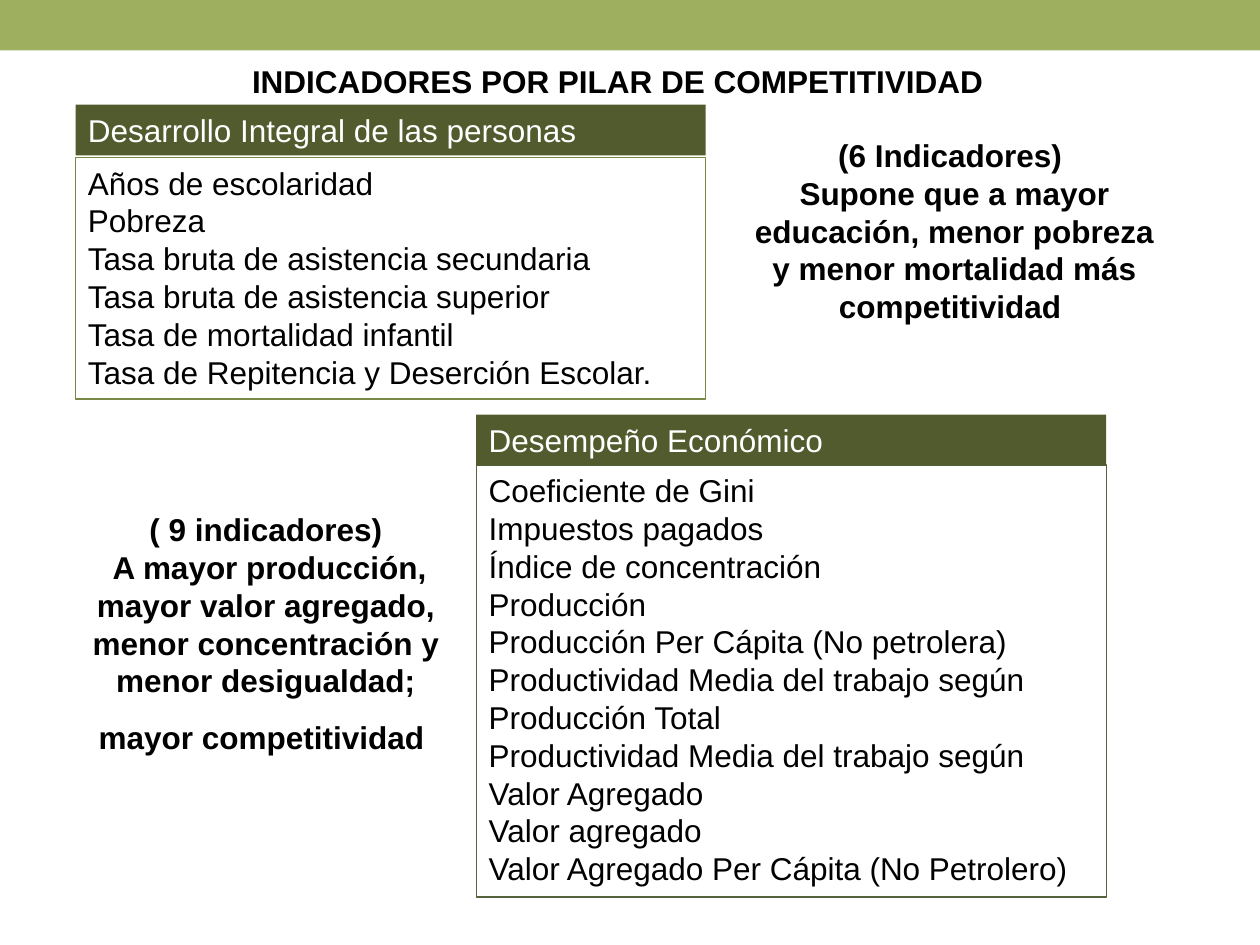
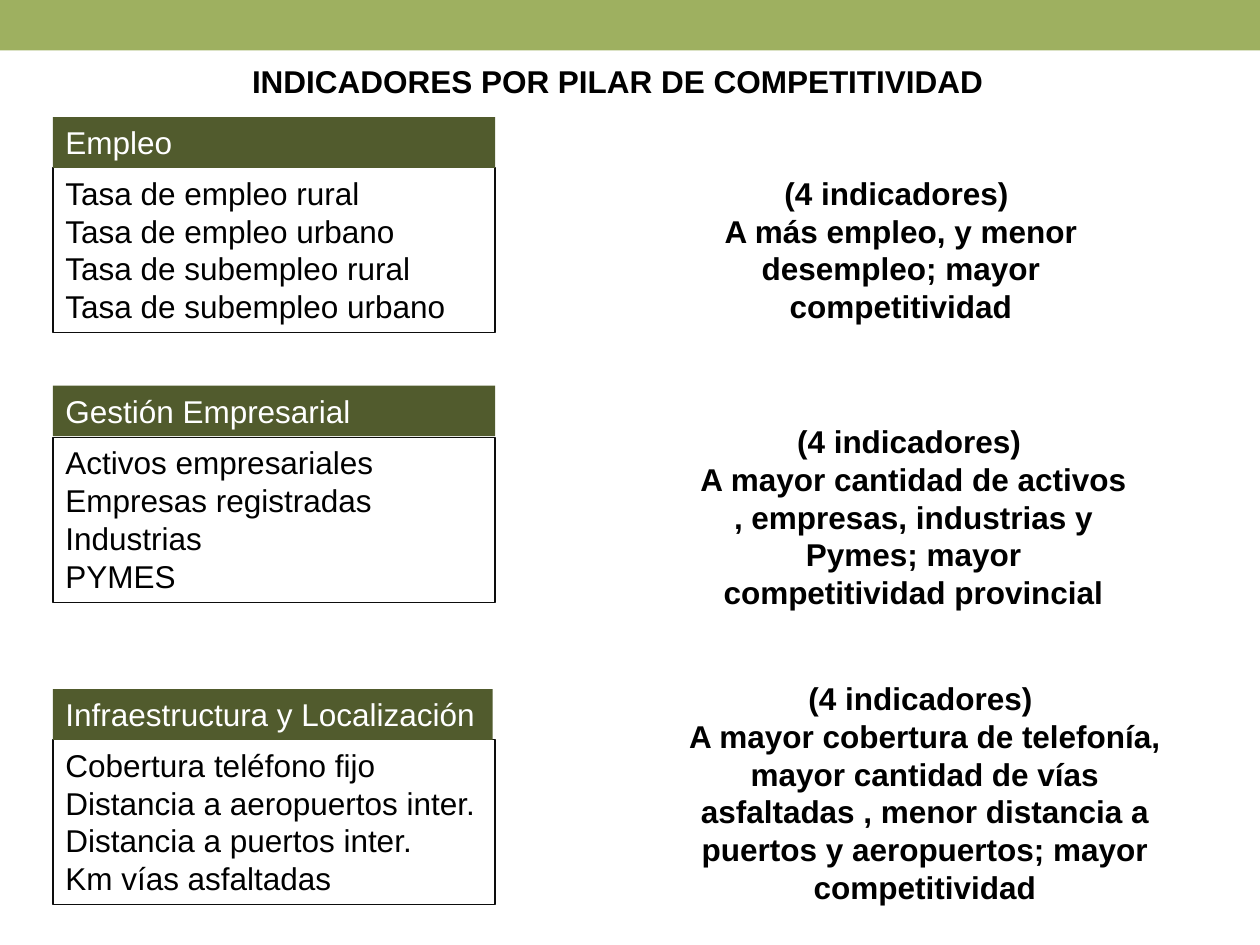
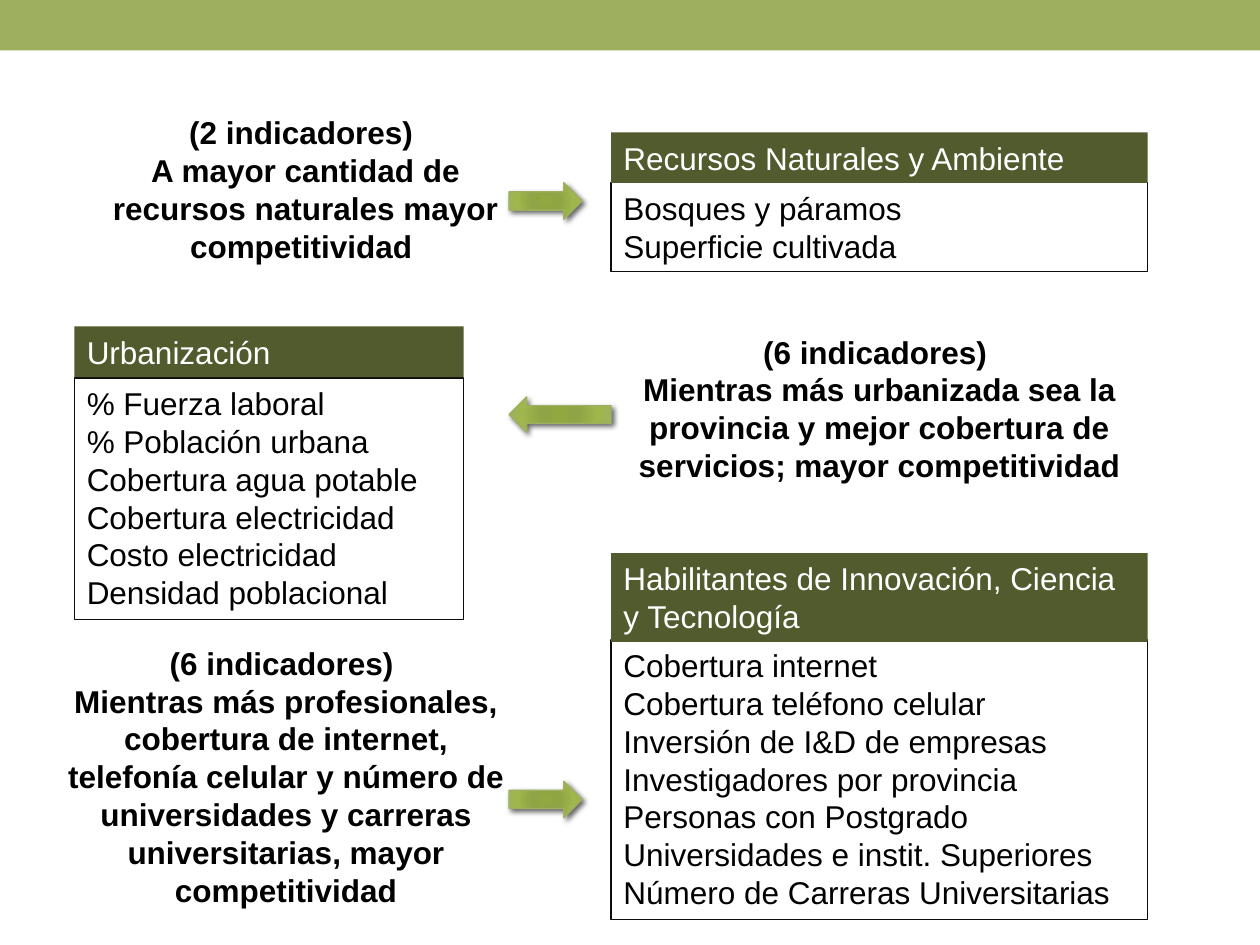
from pptx import Presentation
from pptx.dml.color import RGBColor
from pptx.enum import shapes as kinds, text as text_enum
from pptx.oxml import parse_xml
from pptx.oxml.ns import nsdecls, qn
from pptx.util import Inches, Pt

FONT = "Arial"
SIZE = 18
BLACK, WHITE = "000000", "FFFFFF"
BAND, HEADER = "9EB060", "515B2D"
PANEL_LINE = "0D0D0D"
ARROW_STOPS = [(0, "91A841"), (34, "8FA445"), (70, "9FB74C"), (100, BAND)]
LINE_HEIGHT = 21.8 / 72
PADDING = 0.1
TITLE = "INDICADORES POR PILAR DE COMPETITIVIDAD"
RIGHT = kinds.MSO_SHAPE.RIGHT_ARROW
LEFT = kinds.MSO_SHAPE.LEFT_ARROW

# Pillars: left, header top, panel top, width, header, indicators, then options.
# Notes: left, top, width, height in lines, paragraphs.
# Arrows: kind, left, top, width, height.
SLIDES = [
    {
        "title": TITLE,
        "pillars": [
            (0.6, 0.83, 1.25, 5, "Desarrollo Integral de las personas",
             ["Años de escolaridad", "Pobreza",
              "Tasa bruta de asistencia secundaria",
              "Tasa bruta de asistencia superior",
              "Tasa de mortalidad infantil",
              "Tasa de Repitencia y Deserción Escolar."],
             {"line_color": "798844"}),
            (3.78, 3.29, 3.69, 5, "Desempeño Económico",
             ["Coeficiente de Gini", "Impuestos pagados",
              "Índice de concentración", "Producción",
              "Producción Per Cápita (No petrolera)",
              "Productividad Media del trabajo según Producción Total",
              "Productividad Media del trabajo según Valor Agregado",
              "Valor agregado",
              "Valor Agregado Per Cápita (No Petrolero)"],
             {"line_color": "56633C", "panel_lines": 11}),
        ],
        "notes": [
            (5.82, 1.03, 3.51, 5,
             ["(6 Indicadores) ",
              "Supone que a mayor educación, menor pobreza y menor "
              "mortalidad más competitividad "]),
            (0.6, 4, 3.02, 6.67,
             ["( 9 indicadores)",
              " A mayor producción, mayor valor agregado, menor "
              "concentración y menor desigualdad;",
              "mayor competitividad "], {"last_space_before": 11}),
        ],
    },
    {
        "title": TITLE,
        "pillars": [
            (0.42, 0.93, 1.33, 3.51, "Empleo",
             ["Tasa de empleo rural", "Tasa de empleo urbano",
              "Tasa de subempleo rural", "Tasa de subempleo urbano"]),
            (0.42, 3.06, 3.47, 3.51, "Gestión Empresarial",
             ["Activos empresariales", "Empresas registradas",
              "Industrias", "PYMES"]),
            (0.42, 5.47, 5.87, 3.51, "Infraestructura y Localización",
             ["Cobertura teléfono fijo", "Distancia a aeropuertos inter.",
              "Distancia a puertos inter.", "Km vías asfaltadas"],
             {"header_width": 3.49}),
        ],
        "notes": [
            (5.35, 1.33, 3.6, 4,
             ["(4 indicadores) ",
              "A más empleo, y menor desempleo; mayor competitividad"]),
            (5.45, 3.3, 3.6, 5,
             ["(4 indicadores) ",
              "A mayor cantidad de activos , empresas, industrias y Pymes; "
              "mayor competitividad provincial"]),
            (5.35, 5.34, 3.98, 6,
             ["(4 indicadores) ",
              "A mayor cobertura de telefonía, mayor cantidad de vías "
              "asfaltadas , menor distancia a puertos y aeropuertos; "
              "mayor competitividad"]),
        ],
    },
    {
        "pillars": [
            (4.85, 1.05, 1.45, 4.26, "Recursos Naturales y Ambiente",
             ["Bosques y páramos", "Superficie cultivada"]),
            (0.59, 2.59, 3, 3.09, "Urbanización",
             ["% Fuerza laboral", "% Población urbana",
              "Cobertura agua potable", "Cobertura electricidad",
              "Costo electricidad", "Densidad poblacional"]),
            (4.85, 4.39, 5.08, 4.26,
             "Habilitantes de Innovación, Ciencia y Tecnología",
             ["Cobertura internet", "Cobertura teléfono celular",
              "Inversión de I&D de empresas", "Investigadores por provincia",
              "Personas con Postgrado", "Universidades e instit. Superiores",
              "Número de Carreras Universitarias"],
             {"header_lines": 2}),
        ],
        "notes": [
            (0.64, 0.85, 3.57, 4,
             ["(2 indicadores) ",
              "A mayor cantidad de recursos naturales mayor "
              "competitividad "]),
            (4.85, 2.59, 4.26, 4,
             ["(6 indicadores) ",
              "Mientras más urbanizada sea la provincia y mejor cobertura "
              "de servicios; mayor competitividad"]),
            (0.34, 5.06, 3.86, 7,
             ["(6 indicadores) ",
              "Mientras más profesionales, cobertura de internet, telefonía "
              "celular y número de universidades y carreras universitarias, "
              "mayor competitividad"]),
        ],
        "arrows": [
            (RIGHT, 4.04, 1.45, 0.58, 0.29),
            (LEFT, 4.04, 3.15, 0.81, 0.28),
            (RIGHT, 4.04, 6.2, 0.58, 0.29),
        ],
    },
]


def rgb(color):
    return RGBColor.from_string(color)


def text_height(lines):
    return lines * LINE_HEIGHT + PADDING


def write(shape, paragraphs, color=BLACK, bold=False, centered=False,
          wrap=True, last_space_before=0):
    frame = shape.text_frame
    frame.word_wrap = wrap
    frame.auto_size = text_enum.MSO_AUTO_SIZE.NONE
    frame.vertical_anchor = text_enum.MSO_ANCHOR.TOP
    frame.text = "\n".join(paragraphs)
    align = text_enum.PP_ALIGN
    for paragraph in frame.paragraphs:
        paragraph.alignment = align.CENTER if centered else align.LEFT
        font = paragraph.font
        font.name, font.size, font.bold = FONT, Pt(SIZE), bold
        font.color.rgb = rgb(color)
    if last_space_before:
        frame.paragraphs[-1].space_before = Pt(last_space_before)


def add_box(slide, left, top, width, height, fill=None, line=None):
    shape = slide.shapes.add_shape(
        kinds.MSO_SHAPE.RECTANGLE,
        Inches(left), Inches(top), Inches(width), Inches(height))
    shape.shadow.inherit = False
    if fill:
        shape.fill.solid()
        shape.fill.fore_color.rgb = rgb(fill)
    else:
        shape.fill.background()
    if line:
        shape.line.color.rgb = rgb(line)
        shape.line.width = Pt(0.75)
    else:
        shape.line.fill.background()
    return shape


def add_pillar(slide, left, header_top, panel_top, width, header, indicators,
               options=None):
    options = options or {}
    panel_height = text_height(options.get("panel_lines", len(indicators)))
    panel = add_box(slide, left, panel_top, width, panel_height,
                    line=options.get("line_color", PANEL_LINE))
    write(panel, indicators)
    header_width = options.get("header_width", width)
    header_height = text_height(options.get("header_lines", 1))
    heading = add_box(slide, left, header_top, header_width, header_height,
                      fill=HEADER)
    write(heading, [header], color=WHITE, wrap="header_width" not in options)


def add_note(slide, left, top, width, lines, paragraphs, options=None):
    note = slide.shapes.add_textbox(
        Inches(left), Inches(top), Inches(width), Inches(text_height(lines)))
    write(note, paragraphs, bold=True, centered=True, **(options or {}))


def add_arrow(slide, kind, left, top, width, height):
    """Add a block arrow with a radial gradient and a soft shadow."""
    arrow = slide.shapes.add_shape(
        kind, Inches(left), Inches(top), Inches(width), Inches(height))
    stops = "".join(
        f'<a:gs pos="{position * 1000}"><a:srgbClr val="{color}"/></a:gs>'
        for position, color in ARROW_STOPS)
    properties = arrow.element.spPr
    properties.insert(2, parse_xml(
        f'<a:gradFill {nsdecls("a")} rotWithShape="1"><a:gsLst>{stops}</a:gsLst>'
        '<a:path path="circle"><a:fillToRect l="100000" t="100000" '
        'r="100000" b="100000"/></a:path></a:gradFill>'))
    arrow.line.color.rgb = rgb(BAND)
    arrow.line.width = Pt(0.75)
    arrow.shadow.inherit = False
    properties.find(qn("a:effectLst")).append(parse_xml(
        f'<a:outerShdw {nsdecls("a")} blurRad="{Pt(3)}" dist="{Pt(2)}" '
        'dir="2700000" rotWithShape="0"><a:srgbClr val="000000">'
        '<a:alpha val="60000"/></a:srgbClr></a:outerShdw>'))


def add_master_band(presentation, slide):
    """Draw the top band on a slide, then move it to the slide master."""
    band = add_box(slide, 0, 0, 10, 0.4, fill=BAND)
    presentation.slide_master.element.cSld.spTree.insert(2, band.element)


def add_title(slide, words):
    title = slide.shapes.title
    title.left, title.top = Inches(1.9), Inches(0.44)
    title.width, title.height = Inches(6.01), Inches(0.4)
    write(title, [words], bold=True, wrap=False)


def main():
    presentation = Presentation()
    presentation.slide_width = Inches(10)
    presentation.slide_height = Inches(7.5)
    title_only = presentation.slide_layouts.get_by_name("Title Only")
    blank = presentation.slide_layouts.get_by_name("Blank")

    for number, content in enumerate(SLIDES):
        has_title = "title" in content
        slide = presentation.slides.add_slide(title_only if has_title else blank)
        if number == 0:
            add_master_band(presentation, slide)
        if has_title:
            add_title(slide, content["title"])
        for pillar in content["pillars"]:
            add_pillar(slide, *pillar)
        for note in content["notes"]:
            add_note(slide, *note)
        for arrow in content.get("arrows", []):
            add_arrow(slide, *arrow)

    presentation.save("out.pptx")


if __name__ == "__main__":
    main()
